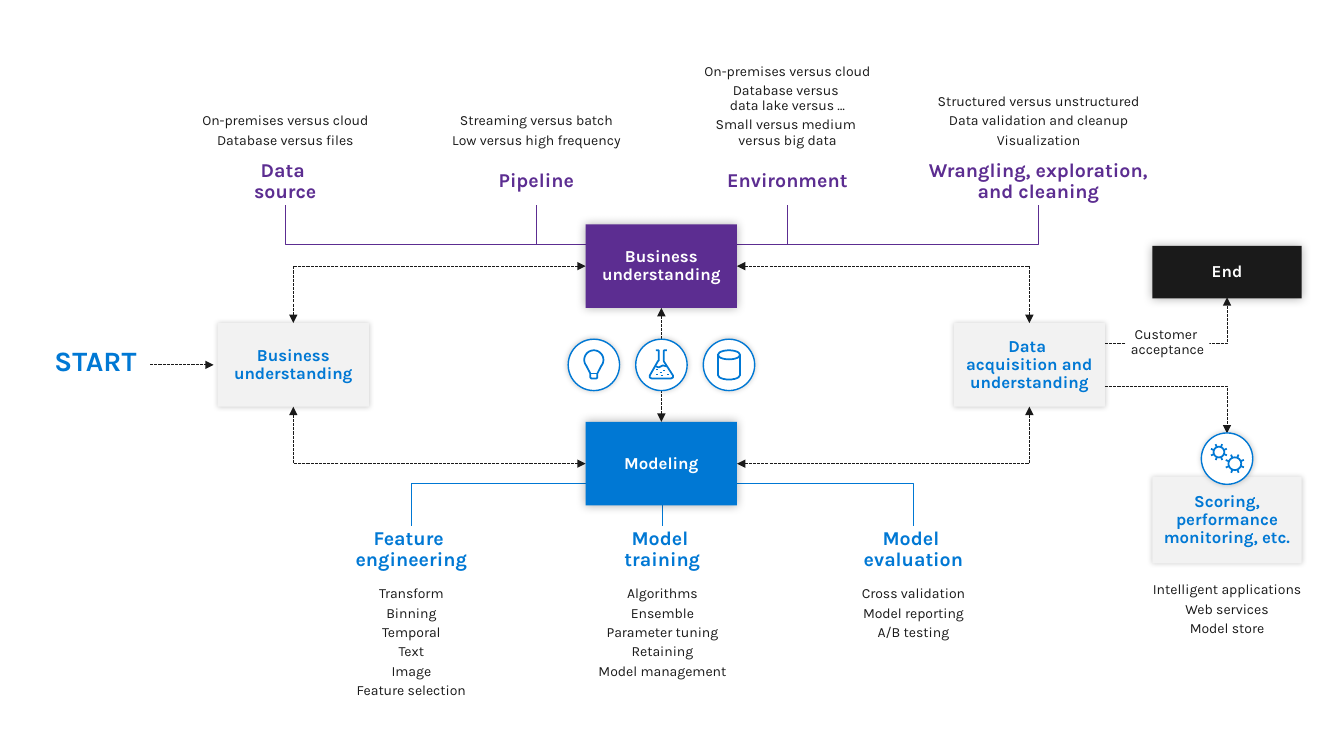
"""Builds a slide that maps the data science lifecycle from start to end."""
from copy import deepcopy
from math import cos, radians, sin

from lxml.etree import SubElement
from pptx import Presentation
from pptx.dml.color import RGBColor
from pptx.enum.dml import MSO_LINE
from pptx.enum.shapes import MSO_CONNECTOR as Link, MSO_SHAPE as Preset
from pptx.enum.text import MSO_ANCHOR as Anchor, PP_ALIGN as Align
from pptx.oxml.ns import qn
from pptx.util import Inches, Pt

BLUE, PURPLE, INK, GREY, WHITE = "0078D4", "5C2D91", "1A1A1A", "F2F2F2", "FFFFFF"
FONT = "Karla"

COLUMN = {"start": 2.91, "middle": 6.56, "data": 10.21, "end": 12.17}
ROW = {"top": 2.64, "middle": 3.62, "bottom": 4.6, "end": 2.7, "scoring": 5.16}
BOX, END_BOX, SCORING_BOX = (1.5, 0.83), (1.48, 0.52), (1.48, 0.86)
TOPIC_PITCH, TOPIC_WIDTH, TITLE_HEIGHT = 2.49, 2.06, 0.46
CIRCLE = 0.51
DEEP, SOFT = (30, 7), (20, 4)

BOXES = [
    ("Modeling", "middle", "bottom", BOX, BLUE, WHITE, DEEP, 0),
    ("Business\nunderstanding", "middle", "top", BOX, PURPLE, WHITE, DEEP, 0),
    ("Business\nunderstanding", "start", "middle", BOX, GREY, BLUE, SOFT, 0.1),
    ("Data \nacquisition and understanding", "data", "middle", BOX, GREY, BLUE, SOFT, 0.1),
    ("Scoring, performance monitoring, etc.", "end", "scoring", SCORING_BOX, GREY, BLUE, SOFT, 0.1),
    ("End", "end", "end", END_BOX, INK, WHITE, DEEP, 0),
]
SOURCE_TOPICS = [
    ("Data \nsource", ["On-premises versus cloud", "Database versus files"]),
    ("Pipeline", ["Streaming versus batch", "Low versus high frequency"]),
    ("Environment", ["On-premises versus cloud", "Database versus \ndata lake versus …",
                     "Small versus medium \nversus big data"]),
    ("Wrangling, exploration, and cleaning",
     ["Structured versus unstructured", "Data validation and cleanup", "Visualization"]),
]
MODEL_TOPICS = [
    ("Feature \nengineering",
     ["Transform", "Binning", "Temporal", "Text", "Image", "Feature selection"]),
    ("Model \ntraining",
     ["Algorithms", "Ensemble", "Parameter tuning", "Retaining", "Model management"]),
    ("Model \nevaluation", ["Cross validation", "Model reporting", "A/B testing"]),
]
GROUPS = [
    dict(topics=SOURCE_TOPICS, first=2.83, color=PURPLE, bar=2.43, leg=2.03, title=1.57,
         notes=0.1, height=1.37, anchor=Anchor.BOTTOM, wide=2.3),
    dict(topics=MODEL_TOPICS, first=4.08, color=BLUE, bar=4.8, leg=5.22, title=5.22,
         notes=5.82, height=1.68, anchor=Anchor.TOP, wide=TOPIC_WIDTH),
]
SCORING_NOTES = ["Intelligent applications", "Web services", "Model store"]

FLASK = [
    [(20, 27), (23, 28), (27, 26), (31, 27)],
    [(20, 11), (23, 11), (23, 21), (22, 22), (14, 36), (14, 38), (16, 39), (35, 39),
     (37, 38), (37, 36), (28, 22), (28, 21), (28, 11), (31, 11)],
] + [[(x, y), (x + 2, y)]
     for x, y in [(20, 35), (24, 33), (20, 30), (27, 31), (31, 35), (25, 36)]]
GEARS = [(17.5, 19, 5.3, 8.5), (33.3, 30.5, 6.3, 9.7)]

presentation = Presentation()
presentation.slide_width, presentation.slide_height = Inches(13.33), Inches(7.5)
slide = presentation.slides.add_slide(presentation.slide_layouts[6])
shapes = slide.shapes


def rgb(color):
    """Turns a hex string into a colour."""
    return RGBColor.from_string(color)


def assign(target, **values):
    """Sets each named attribute on the target."""
    for name, value in values.items():
        setattr(target, name, value)


def write(shape, paragraphs, size, color, bold=False, align=Align.CENTER,
          anchor=Anchor.MIDDLE, inset=0, wrap=True):
    """Fills a shape with evenly spaced paragraphs."""
    frame = shape.text_frame
    margin = Inches(inset)
    assign(frame, word_wrap=wrap, vertical_anchor=anchor, margin_left=margin,
           margin_right=margin, margin_top=margin, margin_bottom=margin)
    for index, text in enumerate(paragraphs):
        paragraph = frame.add_paragraph() if index else frame.paragraphs[0]
        paragraph.text = text
        assign(paragraph, alignment=align, line_spacing=0.9, space_before=Pt(3 if index else 0))
        for run in paragraph.runs:
            assign(run.font, name=FONT, size=Pt(size), bold=bold)
            run.font.color.rgb = rgb(color)
        for line_break in paragraph._p.findall(qn("a:br")):
            line_break.append(deepcopy(paragraph.runs[0]._r.rPr))


def add_text(center, top, width, height, paragraphs, size, color, **options):
    """Adds a text box centred on a column."""
    box = shapes.add_textbox(*map(Inches, (center - width / 2, top, width, height)))
    write(box, paragraphs, size, color, **options)


def add_block(preset, center, middle, size, fill, shadow=None, outline=None):
    """Adds a preset shape around a centre point."""
    left, top = center - size[0] / 2, middle - size[1] / 2
    shape = shapes.add_shape(preset, *map(Inches, (left, top, *size)))
    shape.shadow.inherit = False
    shape.fill.solid()
    shape.fill.fore_color.rgb = rgb(fill)
    style_outline(shape, outline, 1)
    if shadow:
        alpha, blur = shadow
        effects = shape._element.spPr.find(qn("a:effectLst"))
        outer = SubElement(effects, qn("a:outerShdw"), blurRad=str(Pt(blur)), dist="0",
                           dir="0", algn="ctr", rotWithShape="0")
        black = SubElement(outer, qn("a:srgbClr"), val="000000")
        SubElement(black, qn("a:alpha"), val=str(alpha * 1000))
    return shape


def style_outline(shape, color, width):
    """Colours an outline, or removes it."""
    if color:
        shape.line.color.rgb, shape.line.width = rgb(color), Pt(width)
    else:
        shape.line.fill.background()


def add_link(start, end, color=INK, arrows=()):
    """Joins two points, first across and then up or down."""
    kind = Link.STRAIGHT if start[0] == end[0] or start[1] == end[1] else Link.ELBOW
    link = shapes.add_connector(kind, *map(Inches, (*start, *end)))
    properties = link._element.spPr
    if kind == Link.ELBOW:
        properties.find(qn("a:prstGeom")).set("prst", "bentConnector2")
    style_outline(link, color, 0.75)
    if arrows:
        link.line.dash_style = MSO_LINE.SQUARE_DOT
    for arrow in arrows:
        SubElement(properties.find(qn("a:ln")), qn("a:" + arrow), type="triangle")
    SubElement(properties, qn("a:effectLst"))


def add_icon(center, middle, contours):
    """Draws line art given in hundredths of an inch inside a circle."""
    left, top = center - CIRCLE / 2, middle - CIRCLE / 2
    placed = [[(Inches(left + x / 100), Inches(top + y / 100)) for x, y in contour]
              for contour in contours]
    builder = shapes.build_freeform(*placed[0][0])
    for index, contour in enumerate(placed):
        if index:
            builder.move_to(*contour[0])
        builder.add_line_segments(contour[1:], close=False)
    icon = builder.convert_to_shape()
    icon.shadow.inherit = False
    icon.fill.background()
    style_outline(icon, BLUE, 1.25)


def arc(x, y, radius, first=0, last=360, step=15):
    """Returns points along a circular arc."""
    return [(x + radius * cos(radians(angle)), y + radius * sin(radians(angle)))
            for angle in range(first, last + 1, step)]


def gear(x, y, inner, outer):
    """Returns a ring and its eight teeth."""
    teeth = zip(arc(x, y, inner, 22, 337, 45), arc(x, y, outer, 22, 337, 45))
    return [arc(x, y, inner)] + [list(tooth) for tooth in teeth]


def add_group(topics, first, color, bar, leg, title, notes, height, anchor, wide):
    """Adds a bracket with a title and notes under each leg."""
    for index, (name, lines) in enumerate(topics):
        center = round(first + index * TOPIC_PITCH, 2)
        outer = index in (0, len(topics) - 1)
        add_link((COLUMN["middle"] if outer else center, bar), (center, leg), color)
        width = wide if index == len(topics) - 1 else TOPIC_WIDTH
        add_text(center, title, width, TITLE_HEIGHT, [name], 14, color, bold=True)
        add_text(center, notes, width, height, lines, 10, INK, anchor=anchor)


for group in GROUPS:
    add_group(**group)
for text, column, row, size, fill, color, shadow, inset in BOXES:
    block = add_block(Preset.RECTANGLE, COLUMN[column], ROW[row], size, fill, shadow)
    write(block, [text], 12, color, bold=True, inset=inset)

add_text(0.96, 3.45, 0.84, 0.34, ["START"], 20, BLUE, bold=True, align=Align.LEFT,
         anchor=Anchor.TOP, wrap=False)
add_text(COLUMN["end"], 5.78, TOPIC_WIDTH, 1.68, SCORING_NOTES, 10, INK, anchor=Anchor.TOP)

half_width, half_height = BOX[0] / 2, BOX[1] / 2
both, forward = ("headEnd", "tailEnd"), ("tailEnd",)
for column, side in (("start", -1), ("data", 1)):
    for row, turn in (("top", -1), ("bottom", 1)):
        add_link((COLUMN["middle"] + side * half_width, ROW[row]),
                 (COLUMN[column], ROW["middle"] + turn * half_height), arrows=both)
add_link((COLUMN["middle"], ROW["top"] + half_height),
         (COLUMN["middle"], ROW["bottom"] - half_height), arrows=both)
add_link((1.49, ROW["middle"]), (2.12, ROW["middle"]), arrows=forward)
for turn, target in ((1, 4.3), (-1, 2.95)):
    add_link((COLUMN["data"] + half_width, ROW["middle"] + turn * 0.21),
             (COLUMN["end"], target), arrows=forward)
label = add_block(Preset.RECTANGLE, 11.58, 3.4, (0.83, 0.3), WHITE)
write(label, ["Customer \nacceptance"], 10, INK)

bulb = [arc(25.5, 20.5, 9.5, 140, 400, 10) + [(29, 34), (29, 38), (28, 39), (23, 39),
        (22, 38), (22, 34), (18.2, 26.6)], [(22, 34), (29, 34)]]
gears = [contour for values in GEARS for contour in gear(*values)]
icons = [(5.89, ROW["middle"], bulb), (6.56, ROW["middle"], FLASK),
         (7.23, ROW["middle"], None), (COLUMN["end"], 4.55, gears)]
for center, middle, contours in icons:
    add_block(Preset.OVAL, center, middle, (CIRCLE, CIRCLE), WHITE, SOFT, BLUE)
    if contours:
        add_icon(center, middle, contours)
    else:
        database = add_block(Preset.CAN, center, middle, (0.22, 0.29), WHITE, outline=BLUE)
        database.adjustments[0] = 0.41
        database.line.width = Pt(1.25)

presentation.save("out.pptx")
